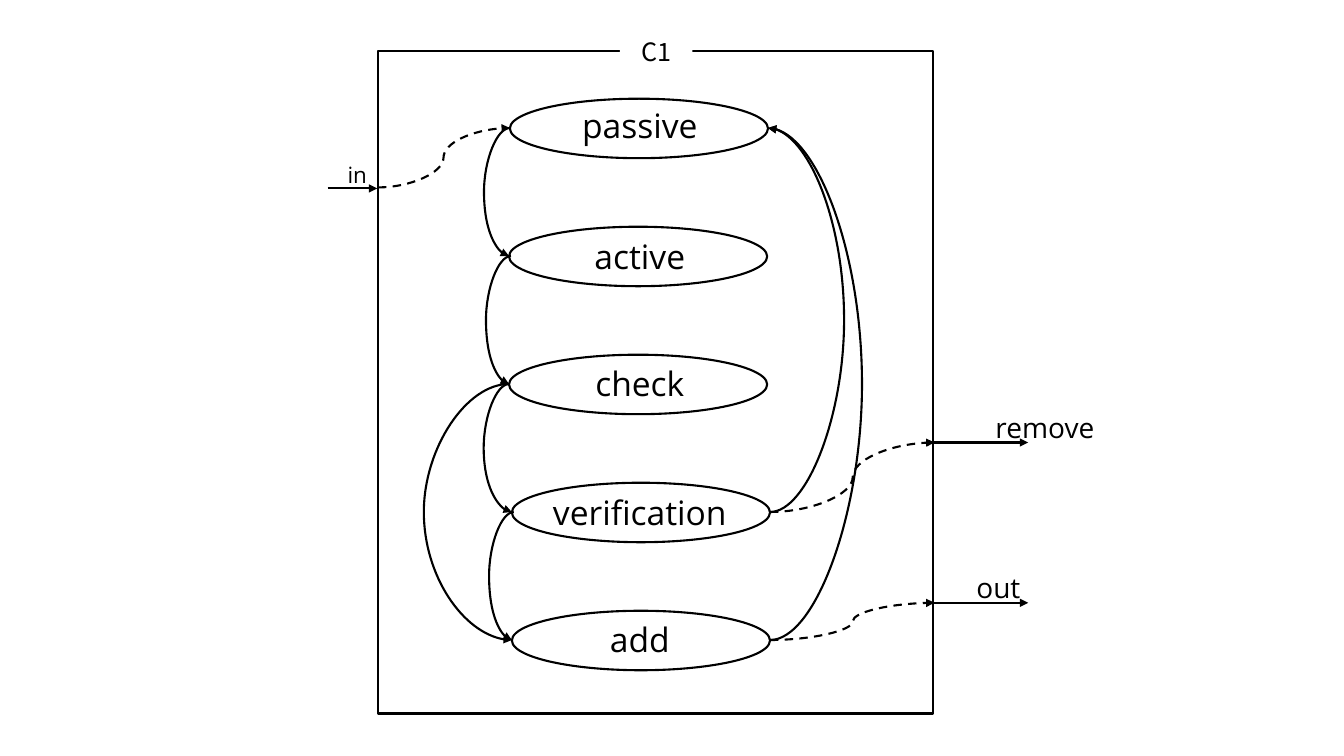
from lxml import etree
from pptx import Presentation
from pptx.dml.color import RGBColor
from pptx.enum.dml import MSO_LINE
from pptx.enum.shapes import MSO_CONNECTOR, MSO_SHAPE
from pptx.enum.text import MSO_AUTO_SIZE, PP_ALIGN
from pptx.oxml.ns import qn
from pptx.util import Pt

BLACK = RGBColor(0, 0, 0)
WHITE = RGBColor(255, 255, 255)
RECT, ELLIPSE = MSO_SHAPE.RECTANGLE, MSO_SHAPE.OVAL
STRAIGHT, CURVE = MSO_CONNECTOR.STRAIGHT, MSO_CONNECTOR.CURVE
DASH = MSO_LINE.DASH
CENTER = PP_ALIGN.CENTER
GROW = MSO_AUTO_SIZE.SHAPE_TO_FIT_TEXT
LATIN, TITLE = "Open Sans", "Noto Sans CJK KR"

FRAME = (270, 36.7, 396.7, 473)
STATE_W, STATE_H, PITCH = 184.4, 42.5, 91.44
STATES = [("passive", 364.2, 71.3), ("active", 363.6, 164.9), ("check", 363.6, 255.6),
          ("verification", 365.6, 347.8), ("add", 365.6, 438.5)]
LEFT_LINKS = [(0, 1, 0, 345.6), (1, 2, 1.4, 347), (2, 3, 0, 345.6),
              (3, 4, 1.4, 349.2), (2, 4, 0, 303.1)]
RIGHT_LINKS = [(4, 0, 616.3), (3, 0, 603.4)]
OUTPUTS = [("remove", 3, 316.1, 746.4, 289.4), ("out", 4, 430.6, 713.2, 403.9)]


def add_box(s, kind, x, y, w, h, outlined=True):
    """Add a white shape, with a black outline if wanted."""
    sp = s.shapes.add_shape(kind, Pt(x), Pt(y), Pt(w), Pt(h))
    sp.shadow.inherit = False
    sp.fill.solid()
    sp.fill.fore_color.rgb = WHITE
    if outlined:
        sp.line.color.rgb = BLACK
        sp.line.width = Pt(1.5)
    else:
        sp.line.fill.background()
    return sp


def set_text(sp, text, size, font=LATIN):
    """Write one centred black line into a shape."""
    tf = sp.text_frame
    tf.word_wrap = True
    tf.auto_size = GROW
    tf.text = text
    p = tf.paragraphs[0]
    p.alignment = CENTER
    r = p.runs[0]
    r.font.size, r.font.name = Pt(size), font
    r.font.color.rgb = BLACK


def add_label(s, text, mid_x, y, w, h, size):
    """Add a text box centred on a given x."""
    set_text(s.shapes.add_textbox(Pt(mid_x - w / 2), Pt(y), Pt(w), Pt(h)), text, size)


def add_arrow(s, start, end, via_x=None, dashed=False):
    """Add a straight arrow, or a curved one that passes through via_x."""
    kind = STRAIGHT if via_x is None else CURVE
    c = s.shapes.add_connector(kind, *(Pt(v) for v in (*start, *end)))
    c.line.color.rgb = BLACK
    c.line.width = Pt(1.5)
    if dashed:
        c.line.dash_style = DASH
    etree.SubElement(c.line._get_or_add_ln(), qn("a:tailEnd"), type="triangle")
    sp_pr = c._element.spPr
    etree.SubElement(sp_pr, qn("a:effectLst"))
    if via_x is not None:
        adj = round((via_x - start[0]) / (end[0] - start[0]) * 100000)
        guides = sp_pr.find(qn("a:prstGeom")).get_or_add_avLst()
        etree.SubElement(guides, qn("a:gd"), name="adj1", fmla=f"val {adj}")


def add_frame(s, box):
    """Draw the component frame with its name set into the top edge."""
    x, y, w, h = box
    add_box(s, RECT, x, y, w, h)
    name = add_box(s, RECT, x + 172.8, y - 14.4, 51.8, 28.8, outlined=False)
    set_text(name, "C1", 18, TITLE)


def add_states(s, box):
    """Draw the column of states and return their left and right ends."""
    mid_x = box[0] + 187
    ends = []
    for i, (name, x, label_y) in enumerate(STATES):
        y = PITCH * (i + 1)
        add_box(s, ELLIPSE, x, y + 0.3 - STATE_H / 2, STATE_W, STATE_H)
        add_label(s, name, mid_x, label_y, 180.7, 36, 24)
        ends.append(((x, y), (x + STATE_W, y)))
    return ends


def add_transitions(s, ends):
    """Draw the solid arrows between states."""
    for a, b, inset, via_x in LEFT_LINKS:
        x, y = ends[a][0]
        add_arrow(s, (x + inset, y), ends[b][0], via_x)
    for a, b, via_x in RIGHT_LINKS:
        add_arrow(s, ends[a][1], ends[b][1], via_x)


def add_ports(s, box, ends):
    """Draw the input and the outputs at the sides of the frame."""
    left, right = box[0], box[0] + box[2]
    add_arrow(s, (left - 36, 134.6), (left - 0.5, 134.6))
    add_arrow(s, (left, 133.9), ends[0][0], 316.8, dashed=True)
    add_label(s, "in", 255.2, 111.6, 52.6, 26.6, 16)
    for name, state, y, mid_x, label_y in OUTPUTS:
        add_arrow(s, (right, y), (right + 67.7, y))
        add_arrow(s, ends[state][1], (right + 0.8, y), 609.1, dashed=True)
        add_label(s, name, mid_x, label_y, 119.5 if state == 3 else 52.6, 31.7, 20)


def main():
    """Build the state diagram slide and save it."""
    prs = Presentation()
    prs.slide_width, prs.slide_height = Pt(960), Pt(540)
    s = prs.slides.add_slide(prs.slide_layouts[6])
    add_frame(s, FRAME)
    ends = add_states(s, FRAME)
    add_transitions(s, ends)
    add_ports(s, FRAME, ends)
    prs.save("out.pptx")


if __name__ == "__main__":
    main()
